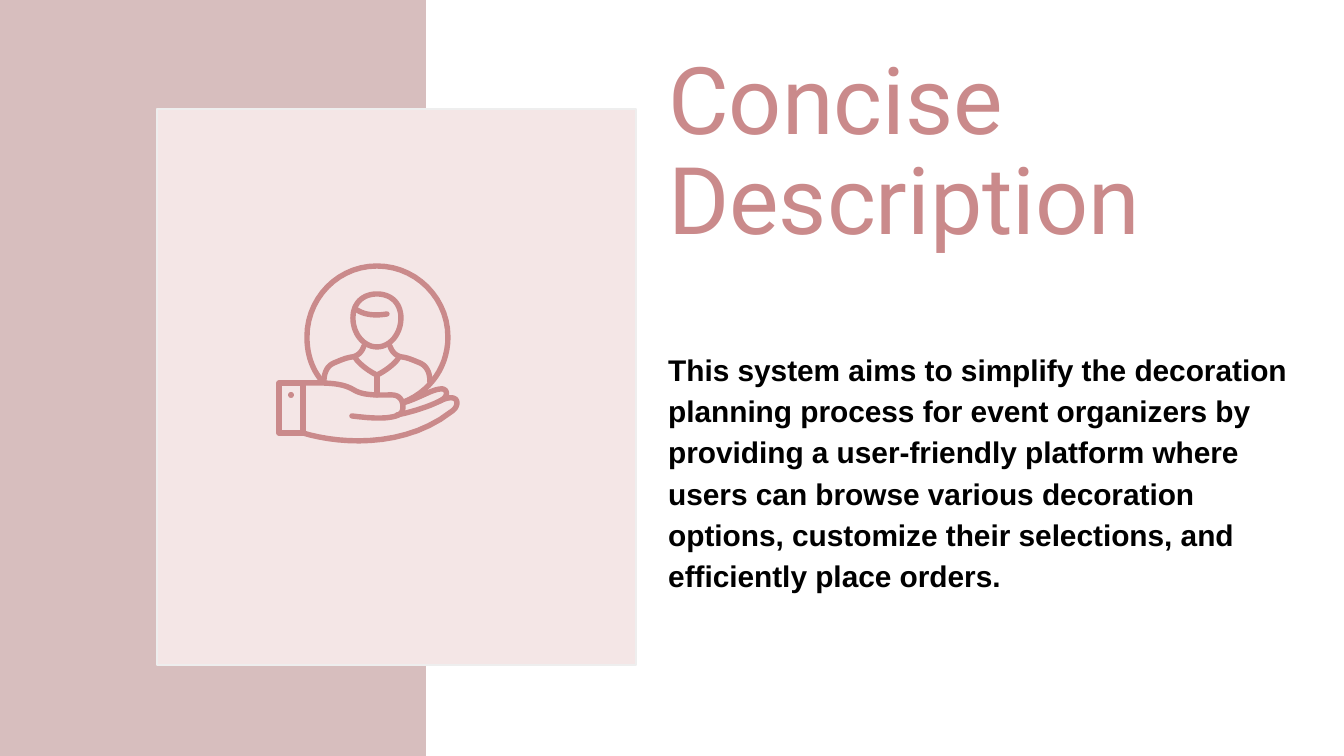
from lxml.etree import SubElement
from pptx import Presentation
from pptx.dml.color import RGBColor
from pptx.enum.shapes import MSO_SHAPE
from pptx.enum.text import MSO_ANCHOR
from pptx.oxml.ns import qn
from pptx.util import Pt

PX = 914400 / 134.4
CURVE_STEPS = 14
AXIS = 377

COLORS = {
    "band": "D7BEBE",
    "panel": "F4E6E6",
    "panel_edge": "EEEEEE",
    "rose": "CA8A8B",
    "body": "000000",
}

PANELS = [
    ((0, 0, 425, 756), "band", "band"),
    ((157, 109, 479, 556), "panel", "panel_edge"),
]

TEXTS = [
    {
        "text": "Concise Description",
        "box": (655, 40, 574, 212),
        "font": ("Roboto", 50, False, "rose"),
        "line_spacing": 0.9,
    },
    {
        "text": "This system aims to simplify the decoration planning process for event "
                "organizers by providing a user-friendly platform where users can browse "
                "various decoration options, customize their selections, and efficiently "
                "place orders.",
        "box": (655, 333, 656, 269),
        "font": ("Arial", 16, True, "body"),
        "line_spacing": 1.15,
    },
]

SHOULDER = [(364, 346), (362, 352), (358, 356), (352, 357), (345, 358), (339, 361),
            (334, 363), (327, 366), (324, 373), (324, 382)]

CURVES = {
    "halo": [(323, 382), (312, 370), (307, 354), (307, 337), (307, 298), (338, 266),
             (377, 266), (416, 266), (448, 298), (448, 337), (448, 366), (431, 391),
             (404, 402)],
    "head": [(377, 294), (392, 294), (401, 304), (401, 318), (401, 334), (390, 347),
             (377, 347), (364, 347), (353, 334), (353, 318), (353, 304), (362, 294),
             (377, 294)],
    "hair": [(357, 310), (365, 315), (375, 316), (387, 314)],
    "left shoulder": SHOULDER,
    "right shoulder": [(2 * AXIS - x, y) for x, y in SHOULDER],
    "collar": [(355, 357), (357, 362), (368, 371), (377, 375), (386, 371), (397, 362),
               (399, 357)],
    "thumb": [(303, 383), (323, 383), (341, 382), (354, 390), (364, 396), (378, 395),
              (392, 395), (400, 395), (403, 401), (403, 407), (403, 414), (398, 416),
              (392, 417), (382, 419), (368, 418), (352, 416)],
    "finger": [(403, 403), (420, 398), (434, 388), (443, 389), (449, 391), (447, 398),
               (440, 401), (428, 407), (412, 412), (397, 415)],
    "palm": [(440, 401), (450, 396), (457, 397), (457, 403), (457, 407), (454, 410),
             (451, 412), (402, 450), (335, 443), (303, 433)],
}

LINES = {
    "shirt": [(377, 375), (377, 395)],
    "cuff": [(303, 383), (279, 383), (279, 433), (303, 433), (303, 383)],
}

BUTTON = (288, 392, 6, 6)


def emu(lengths):
    return [round(length * PX) for length in lengths]


def color(name):
    return RGBColor.from_string(COLORS[name])


def flatten(points):
    flat = [points[0]]
    for i in range(0, len(points) - 1, 3):
        a, b, c, d = points[i:i + 4]
        for step in range(1, CURVE_STEPS + 1):
            t = step / CURVE_STEPS
            u = 1 - t
            flat.append(tuple(
                u ** 3 * p + 3 * u * u * t * q + 3 * u * t * t * r + t ** 3 * s
                for p, q, r, s in zip(a, b, c, d)
            ))
    return flat


def add_filled(shapes, preset, box, fill):
    shape = shapes.add_shape(preset, *emu(box))
    shape.shadow.inherit = False
    shape.fill.solid()
    shape.fill.fore_color.rgb = color(fill)
    shape.line.fill.background()
    return shape


def add_icon(slide):
    icon = slide.shapes.add_group_shape()
    strokes = [flatten(points) for points in CURVES.values()] + list(LINES.values())
    paths = [[emu(point) for point in stroke] for stroke in strokes]
    builder = icon.shapes.build_freeform(*paths[0][0], scale=1.0)
    for i, path in enumerate(paths):
        if i:
            builder.move_to(*path[0])
        builder.add_line_segments(path[1:], close=False)
    hand = builder.convert_to_shape()
    hand.shadow.inherit = False
    hand.fill.background()
    hand.line.color.rgb = color("rose")
    hand.line.width = Pt(2.9)
    outline = hand.line._get_or_add_ln()
    outline.set("cap", "rnd")
    SubElement(outline, qn("a:round"))
    add_filled(icon.shapes, MSO_SHAPE.OVAL, BUTTON, "rose")


def add_text(slide, content):
    frame = slide.shapes.add_textbox(*emu(content["box"])).text_frame
    frame.word_wrap = True
    frame.vertical_anchor = MSO_ANCHOR.TOP
    frame.margin_left = frame.margin_right = round(13.44 * PX)
    frame.margin_top = frame.margin_bottom = round(13.44 * PX)
    paragraph = frame.paragraphs[0]
    paragraph.line_spacing = content["line_spacing"]
    run = paragraph.add_run()
    run.text = content["text"]
    name, size, bold, ink = content["font"]
    run.font.name = name
    run.font.size = Pt(size)
    run.font.bold = bold
    run.font.color.rgb = color(ink)


def main():
    deck = Presentation()
    deck.slide_width, deck.slide_height = emu((1344, 756))
    slide = deck.slides.add_slide(deck.slide_layouts[6])
    for box, fill, edge in PANELS:
        panel = add_filled(slide.shapes, MSO_SHAPE.RECTANGLE, box, fill)
        panel.line.color.rgb = color(edge)
        panel.line.width = Pt(0.75)
    for content in TEXTS:
        add_text(slide, content)
    add_icon(slide)
    deck.save("out.pptx")


if __name__ == "__main__":
    main()
